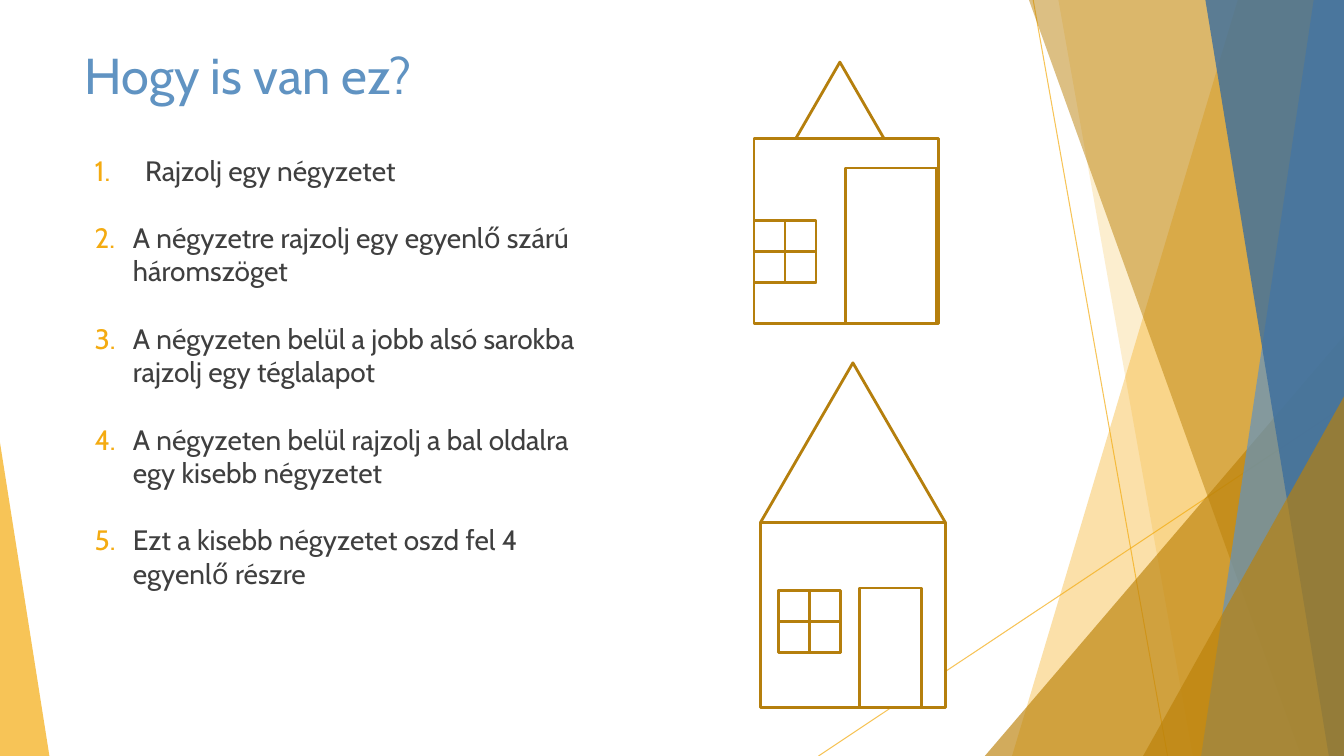
"""Build the slide of drawing instructions beside two houses."""
from dataclasses import dataclass

from lxml.etree import SubElement
from pptx import Presentation
from pptx.dml.color import RGBColor
from pptx.enum.shapes import MSO_CONNECTOR, MSO_SHAPE
from pptx.oxml.ns import qn
from pptx.util import Inches, Pt

COLUMNS, ROWS = 160, 90
CELL = Inches(1) / 12
TEXT_LEFT = 8.88

GOLD = RGBColor(0xF4, 0xAB, 0x11)
DARK_GOLD = RGBColor(0xBB, 0x81, 0x08)
OUTLINE = RGBColor(0xB5, 0x7F, 0x0D)
BLUE = RGBColor(0x60, 0x93, 0xC2)
DARK_BLUE = RGBColor(0x3C, 0x6E, 0x9D)
TEXT = RGBColor(0x3F, 0x3F, 0x3F)
WHITE = RGBColor(0xFF, 0xFF, 0xFF)
FONT = "Cabin"

TITLE = "Hogy is van ez?"
STEPS = [
    "Rajzolj egy négyzetet",
    "A négyzetre rajzolj egy egyenlő szárú háromszöget",
    "A négyzeten belül a jobb alsó sarokba rajzolj egy téglalapot",
    "A négyzeten belül rajzolj a bal oldalra egy kisebb négyzetet",
    "Ezt a kisebb négyzetet oszd fel 4 egyenlő részre",
]

WALL_SIDE = 22
WINDOW_SIDE = 7.4
PANE_SIDE = WINDOW_SIDE / 2


@dataclass
class House:
    """Place a wall on the grid, and its other parts from the wall's corner."""

    left: float
    top: float
    window_left: float
    window_top: float
    door_left: float
    door_width: float
    door_height: float
    roof_left: float
    roof_width: float
    roof_height: float


HOUSES = [
    House(left=89.76, top=16.5, window_left=0, window_top=9.75,
          door_left=10.92, door_width=10.8, door_height=18.5,
          roof_left=4.98, roof_width=10.5, roof_height=9.1),
    House(left=90.54, top=62.2, window_left=2.16, window_top=8.1,
          door_left=11.8, door_width=7.4, door_height=14.2,
          roof_left=0, roof_width=WALL_SIDE, roof_height=19),
]


def cells(*counts):
    """Turn counts of grid cells into lengths."""
    return [round(count * CELL) for count in counts]


def set_opacity(shape, percent):
    """Make the only colour of a shape partly transparent."""
    color = shape._element.spPr.find(f".//{qn('a:srgbClr')}")
    SubElement(color, qn("a:alpha"), val=str(percent * 1000))


def fill_shape(shape, color):
    """Give a shape a plain fill and no shadow."""
    shape.shadow.inherit = False
    shape.fill.solid()
    shape.fill.fore_color.rgb = color


def fill_glass(shape, color, percent):
    """Give a shape a translucent fill without an outline."""
    fill_shape(shape, color)
    set_opacity(shape, percent)
    shape.line.fill.background()


def add_ray(page, start, end):
    """Draw a thin translucent gold line."""
    ray = page.shapes.add_connector(
        MSO_CONNECTOR.STRAIGHT, *cells(*start), *cells(*end))
    ray.line.color.rgb = GOLD
    ray.line.width = Pt(0.75)
    set_opacity(ray, 70)
    SubElement(ray._element.spPr, qn("a:effectLst"))


def add_band(page, top_column, bottom_column, color, percent):
    """Fill the page to the right of a slanted edge."""
    builder = page.shapes.build_freeform(*cells(top_column, 0))
    corners = [(COLUMNS, 0), (COLUMNS, ROWS), (bottom_column, ROWS)]
    builder.add_line_segments([cells(*corner) for corner in corners])
    fill_glass(builder.convert_to_shape(), color, percent)


def add_wedge(page, left, right, top, apex, color, percent):
    """Stand a triangle on the bottom edge, its apex at a share of its width."""
    wedge = page.shapes.add_shape(
        MSO_SHAPE.ISOSCELES_TRIANGLE,
        *cells(left, top, right - left, ROWS - top))
    wedge.adjustments[0] = apex
    fill_glass(wedge, color, percent)


def add_decoration(page):
    """Layer the rays, bands and wedges from back to front."""
    add_ray(page, (123, 0), (139, ROWS))
    add_ray(page, (COLUMNS, 48.36), (97.44, ROWS))
    add_band(page, 147.36, 120.48, GOLD, 36)
    add_band(page, 126, 142, GOLD, 20)
    add_wedge(page, 117.24, COLUMNS, 40, 1, DARK_GOLD, 66)
    add_band(page, 122.5, 154.9, DARK_GOLD, 50)
    add_band(page, 156.4, 143, BLUE, 70)
    add_band(page, 143.5, 158.2, DARK_BLUE, 80)
    add_wedge(page, 136.08, COLUMNS, 47.2, 1, DARK_GOLD, 66)
    add_wedge(page, 0, 5.88, 52.7, 0, GOLD, 70)


def add_text(page, top, width, height, lines, size, color):
    """Add a wrapped text box and return its paragraphs."""
    box = page.shapes.add_textbox(*cells(TEXT_LEFT, top, width, height))
    frame = box.text_frame
    frame.word_wrap = True
    frame.text = "\n".join(lines)
    for para in frame.paragraphs:
        para.font.name = FONT
        para.font.size = Pt(size)
        para.font.color.rgb = color
    return frame.paragraphs


def add_number(para, margin, hanging):
    """Number a paragraph in gold with a hanging indent."""
    properties = para._p.get_or_add_pPr()
    properties.set("marL", str(Inches(margin)))
    properties.set("indent", str(-Inches(hanging)))
    bullet_color = SubElement(properties, qn("a:buClr"))
    SubElement(bullet_color, qn("a:srgbClr"), val=str(GOLD))
    bullet_font = SubElement(properties, qn("a:buFont"), typeface="+mj-lt")
    bullet = SubElement(properties, qn("a:buAutoNum"), type="arabicPeriod")
    font_defaults = properties.find(qn("a:defRPr"))
    for element in (bullet_color, bullet_font, bullet):
        font_defaults.addprevious(element)


def add_steps(page):
    """List the numbered steps, the first with a wider indent."""
    first, *others = add_text(page, 17.64, 64, 61.5, STEPS, 20, TEXT)
    add_number(first, margin=0.6, hanging=0.5)
    for para in others:
        para.space_before = Pt(24)
        add_number(para, margin=0.48, hanging=0.38)


def add_part(page, kind, left, top, width, height):
    """Draw one white, outlined part of a house."""
    part = page.shapes.add_shape(kind, *cells(left, top, width, height))
    fill_shape(part, WHITE)
    part.line.color.rgb = OUTLINE
    part.line.width = Pt(2)


def add_square(page, left, top, side):
    """Draw a square part of a house."""
    add_part(page, MSO_SHAPE.RECTANGLE, left, top, side, side)


def add_window(page, left, top):
    """Draw a window split in four by two panes on its diagonal."""
    add_square(page, left, top, WINDOW_SIDE)
    for shift in (0, PANE_SIDE):
        add_square(page, left + shift, top + shift, PANE_SIDE)


def add_house(page, house):
    """Draw a wall, its window, a door on its base and a roof on its top."""
    add_square(page, house.left, house.top, WALL_SIDE)
    add_window(page, house.left + house.window_left,
               house.top + house.window_top)
    add_part(page, MSO_SHAPE.RECTANGLE, house.left + house.door_left,
             house.top + WALL_SIDE - house.door_height,
             house.door_width, house.door_height)
    add_part(page, MSO_SHAPE.ISOSCELES_TRIANGLE, house.left + house.roof_left,
             house.top - house.roof_height,
             house.roof_width, house.roof_height)


def main():
    """Build and save the deck."""
    deck = Presentation()
    deck.slide_width, deck.slide_height = cells(COLUMNS, ROWS)
    page = deck.slides.add_slide(deck.slide_layouts[6])
    add_decoration(page)
    add_text(page, 4.68, 112.8, 12, [TITLE], 36, BLUE)
    add_steps(page)
    for house in HOUSES:
        add_house(page, house)
    deck.save("out.pptx")


if __name__ == "__main__":
    main()
